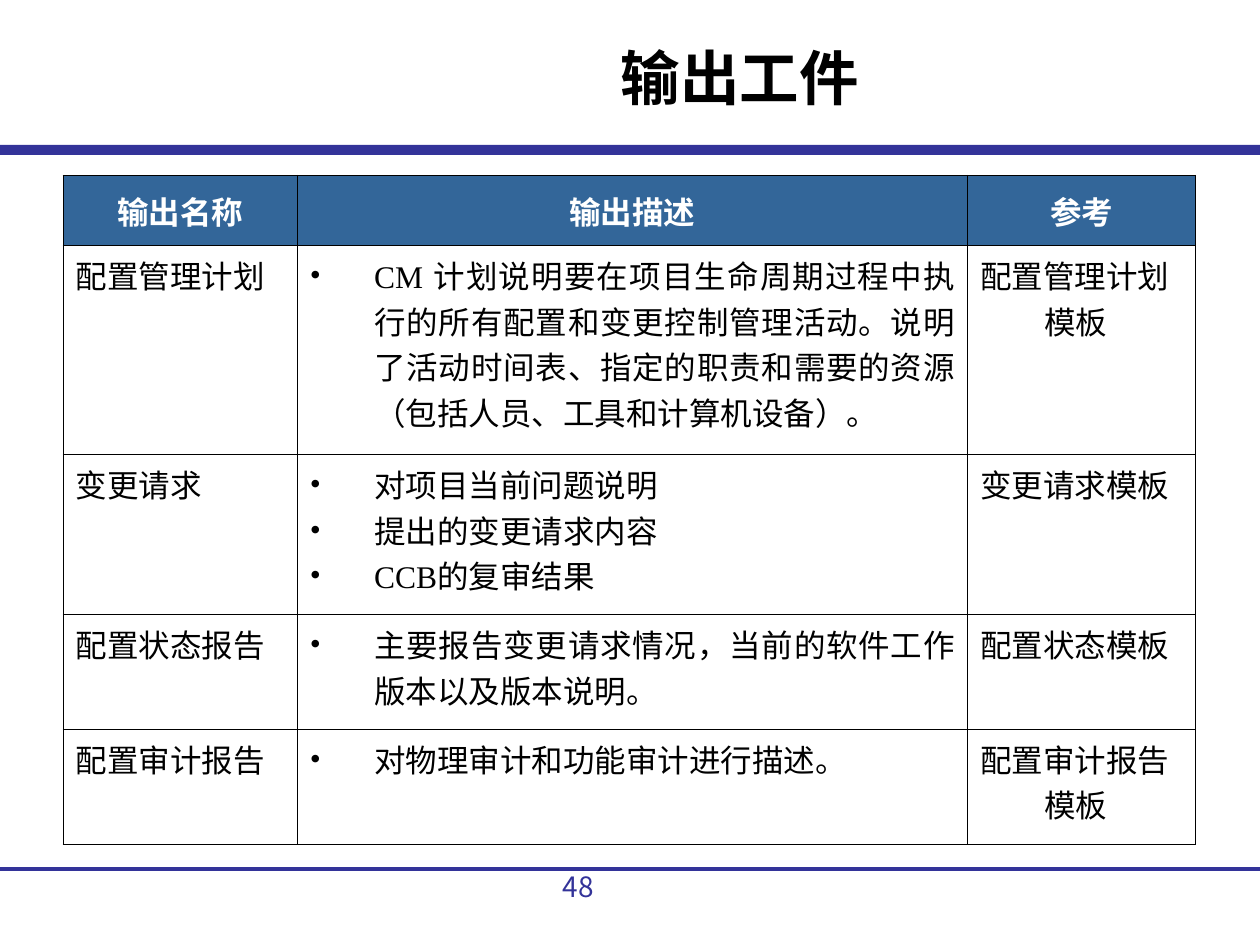
from dataclasses import dataclass

from pptx import Presentation
from pptx.dml.color import RGBColor
from pptx.enum.shapes import MSO_CONNECTOR as Connector, MSO_SHAPE as Shape
from pptx.enum.text import MSO_ANCHOR as Anchor, PP_ALIGN as Align
from pptx.oxml.ns import qn
from pptx.util import Inches, Pt
from lxml.etree import SubElement


@dataclass(frozen=True)
class Theme:
    rule: str = "333399"
    header_fill: str = "336699"
    header_text: str = "FFFFFF"
    ink: str = "000000"
    title_size: float = 34
    table_size: float = 18
    page_size: float = 16
    border_width: float = 0.45
    title_font: str = "DejaVu Sans"
    label_font: str = "Arial"
    detail_font: str = "Times New Roman"
    chinese_font: str = "Noto Sans CJK SC"


THEME = Theme()
HANGING = Inches(0.51)
COLUMNS = (1.86, 5.32, 1.81)
ROW_HEIGHTS = (0.56, 1.66, 1.27, 0.91, 0.91)
HEADINGS = ("输出名称", "输出描述", "参考")
OUTPUTS = (
    ("配置管理计划",
     ["CM 计划说明要在项目生命周期过程中执行的所有配置和变更控制管理活动。"
      "说明了活动时间表、指定的职责和需要的资源（包括人员、工具和计算机设备）。"],
     "配置管理计划模板"),
    ("变更请求",
     ["对项目当前问题说明", "提出的变更请求内容", "CCB的复审结果"],
     "变更请求模板"),
    ("配置状态报告",
     ["主要报告变更请求情况，当前的软件工作版本以及版本说明。"],
     "配置状态模板"),
    ("配置审计报告",
     ["对物理审计和功能审计进行描述。"],
     "配置审计报告模板"),
)


def rgb(value):
    return RGBColor.from_string(value)


def format_runs(paragraph, size, font, color, bold=False):
    for run in paragraph.runs:
        run.font.size = Pt(size)
        run.font.name = font
        run.font.bold = bold
        run.font.color.rgb = rgb(color)
        SubElement(run.font._element, qn("a:ea"), typeface=THEME.chinese_font)


def add_label(slide, box, text, size, font, color, bold=False, align=Align.LEFT):
    frame = slide.shapes.add_textbox(*map(Inches, box)).text_frame
    frame.word_wrap = True
    frame.text = text
    frame.paragraphs[0].alignment = align
    format_runs(frame.paragraphs[0], size, font, color, bold)


def add_rules(slide):
    band = slide.shapes.add_shape(
        Shape.RECTANGLE, 0, Inches(1.15), Inches(10), Inches(0.08))
    band.shadow.inherit = False
    band.fill.solid()
    band.fill.fore_color.rgb = rgb(THEME.rule)
    band.line.fill.background()

    footer = slide.shapes.add_connector(
        Connector.STRAIGHT, 0, Inches(6.9), Inches(10), Inches(6.9))
    footer.line.color.rgb = rgb(THEME.rule)
    footer.line.width = Pt(2.25)
    SubElement(footer._element.spPr, qn("a:effectLst"))


def add_bullet(properties):
    color = SubElement(properties, qn("a:buClr"))
    SubElement(color, qn("a:srgbClr"), val=THEME.ink)
    SubElement(properties, qn("a:buFont"), typeface=THEME.detail_font)
    SubElement(properties, qn("a:buChar"), char="•")


def set_borders(cell):
    properties = cell._tc.get_or_add_tcPr()
    for position, side in enumerate(("lnL", "lnR", "lnT", "lnB")):
        border = SubElement(properties, qn(f"a:{side}"),
                            w=str(Pt(THEME.border_width)))
        fill = SubElement(border, qn("a:solidFill"))
        SubElement(fill, qn("a:srgbClr"), val=THEME.ink)
        # Borders come before the fill in the cell properties
        properties.insert(position, border)


def fill_cell(cell, lines, font, color=THEME.ink, bold=False,
              align=Align.LEFT, bulleted=False):
    cell.margin_left = cell.margin_right = Inches(0.1)
    cell.margin_top = cell.margin_bottom = Inches(0.05)
    cell.text_frame.text = "\n".join(lines)
    for paragraph in cell.text_frame.paragraphs:
        paragraph.alignment = align
        properties = paragraph._p.get_or_add_pPr()
        properties.set("marL", str(HANGING))
        properties.set("indent", str(-HANGING))
        if bulleted:
            add_bullet(properties)
        format_runs(paragraph, THEME.table_size, font, color, bold)
    set_borders(cell)


def add_outputs_table(slide):
    table = slide.shapes.add_table(
        len(ROW_HEIGHTS), len(COLUMNS), Inches(0.5), Inches(1.39),
        Inches(sum(COLUMNS)), Inches(sum(ROW_HEIGHTS))).table
    for column, width in zip(table.columns, COLUMNS):
        column.width = Inches(width)
    for row, height in zip(table.rows, ROW_HEIGHTS):
        row.height = Inches(height)

    # Header row
    for cell, heading in zip(table.rows[0].cells, HEADINGS):
        cell.fill.solid()
        cell.fill.fore_color.rgb = rgb(THEME.header_fill)
        cell.vertical_anchor = Anchor.MIDDLE
        fill_cell(cell, [heading], THEME.label_font, THEME.header_text,
                  bold=True, align=Align.CENTER)

    # One row for each output
    for index, (name, details, template) in enumerate(OUTPUTS, start=1):
        cells = list(table.rows[index].cells)
        for cell in cells:
            cell.fill.background()
        fill_cell(cells[0], [name], THEME.label_font)
        fill_cell(cells[1], details, THEME.detail_font,
                  align=Align.JUSTIFY, bulleted=True)
        fill_cell(cells[2], [template], THEME.label_font)


def main():
    deck = Presentation()
    deck.slide_width, deck.slide_height = Inches(10), Inches(7.5)
    slide = deck.slides.add_slide(deck.slide_layouts[6])

    add_rules(slide)
    add_label(slide, (2.01, 0.28, 7.72, 0.71), "输出工件", THEME.title_size,
              THEME.title_font, THEME.ink, bold=True, align=Align.CENTER)
    add_outputs_table(slide)
    add_label(slide, (4.37, 6.85, 1.1, 0.52), "48", THEME.page_size,
              THEME.chinese_font, THEME.rule)
    deck.save("out.pptx")


if __name__ == "__main__":
    main()
